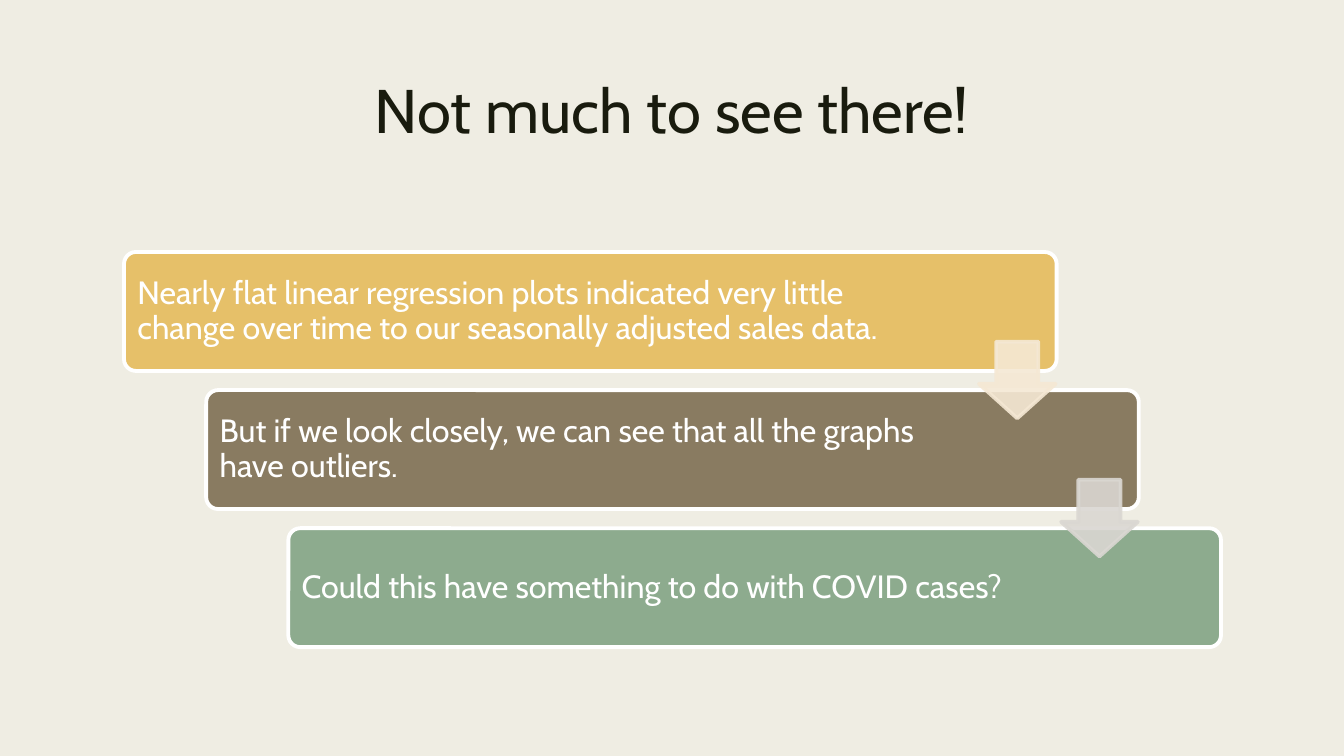
from lxml import etree
from pptx import Presentation
from pptx.dml.color import RGBColor
from pptx.enum import shapes, text
from pptx.oxml import ns
from pptx.util import Inches, Pt

PAPER = RGBColor(0xEF, 0xED, 0xE3)
INK = RGBColor(0x19, 0x1B, 0x0E)
WHITE = RGBColor(0xFF, 0xFF, 0xFF)
GOLD = RGBColor(0xE6, 0xC0, 0x69)
BROWN = RGBColor(0x89, 0x7B, 0x61)
GREEN = RGBColor(0x8D, 0xAB, 0x8E)
CREAM = RGBColor(0xF5, 0xE8, 0xD4)
GREY = RGBColor(0xDA, 0xD7, 0xD2)


def write(frame, words, size=23, color=WHITE, font="Cabin",
          align=text.PP_ALIGN.LEFT, anchor=text.MSO_ANCHOR.MIDDLE, space=0.9):
    frame.word_wrap = True
    frame.auto_size = text.MSO_AUTO_SIZE.NONE
    frame.vertical_anchor = anchor
    para = frame.paragraphs[0]
    para.alignment = align
    para.line_spacing = space
    run = para.add_run()
    run.text = words
    run.font.name = font
    run.font.size = Pt(size)
    run.font.color.rgb = color


class Deck:
    edge = Pt(2.75)

    def __init__(self):
        self.prs = Presentation()
        self.prs.slide_width = Inches(13.33)
        self.prs.slide_height = Inches(7.5)
        self.slide = self.prs.slides.add_slide(self.prs.slide_layouts[5])
        fill = self.slide.background.fill
        fill.solid()
        fill.fore_color.rgb = PAPER

    def title(self, words, x, y, w, h):
        box = self.slide.shapes.title
        box.left, box.top = Inches(x), Inches(y)
        box.width, box.height = Inches(w), Inches(h)
        write(box.text_frame, words, size=44, color=INK, space=0.89,
              align=text.PP_ALIGN.CENTER, anchor=text.MSO_ANCHOR.TOP)

    def shape(self, kind, x, y, w, h, fill, line, adjust):
        item = self.slide.shapes.add_shape(
            kind, Inches(x), Inches(y), Inches(w), Inches(h))
        item.shadow.inherit = False
        item.fill.solid()
        item.fill.fore_color.rgb = fill
        item.line.color.rgb = line
        item.line.width = self.edge
        for i, value in enumerate(adjust):
            item.adjustments[i] = value
        return item

    def card(self, words, x, y, w, h, fill):
        item = self.shape(shapes.MSO_SHAPE.ROUNDED_RECTANGLE,
                          x, y, w, h, fill, WHITE, [0.1])
        frame = item.text_frame
        frame.margin_left = frame.margin_top = frame.margin_bottom = Inches(0.1)
        frame.margin_right = Inches(1.6)  # keeps words clear of the arrows
        write(frame, words)

    def arrow(self, x, y, side, color, alpha=90):
        item = self.shape(shapes.MSO_SHAPE.DOWN_ARROW,
                          x, y, side, side, color, color, [0.55, 0.45])
        # Fill and outline are both slightly transparent
        for tint in item._element.spPr.iter(ns.qn("a:srgbClr")):
            etree.SubElement(tint, ns.qn("a:alpha"), val=str(alpha * 1000))


def main():
    deck = Deck()
    deck.title("Not much to see there!", 0.7, 0.75, 11.93, 1.62)

    # Staircase of statements
    left, top, dx, dy = 1.23, 2.5, 0.815, 1.37
    steps = [
        ("Nearly flat linear regression plots indicated very little "
         "change over time to our seasonally adjusted sales data.", GOLD),
        ("But if we look closely, we can see that all the graphs "
         "have outliers.", BROWN),
        ("Could this have something to do with COVID cases?", GREEN),
    ]
    for i, (words, fill) in enumerate(steps):
        deck.card(words, left + i * dx, top + i * dy, 9.25, 1.18, fill)

    # Arrows from each step to the next
    for i, color in enumerate([CREAM, GREY]):
        deck.arrow(9.71 + i * dx, 3.39 + i * dy, 0.76, color)

    deck.prs.save("out.pptx")


if __name__ == "__main__":
    main()
